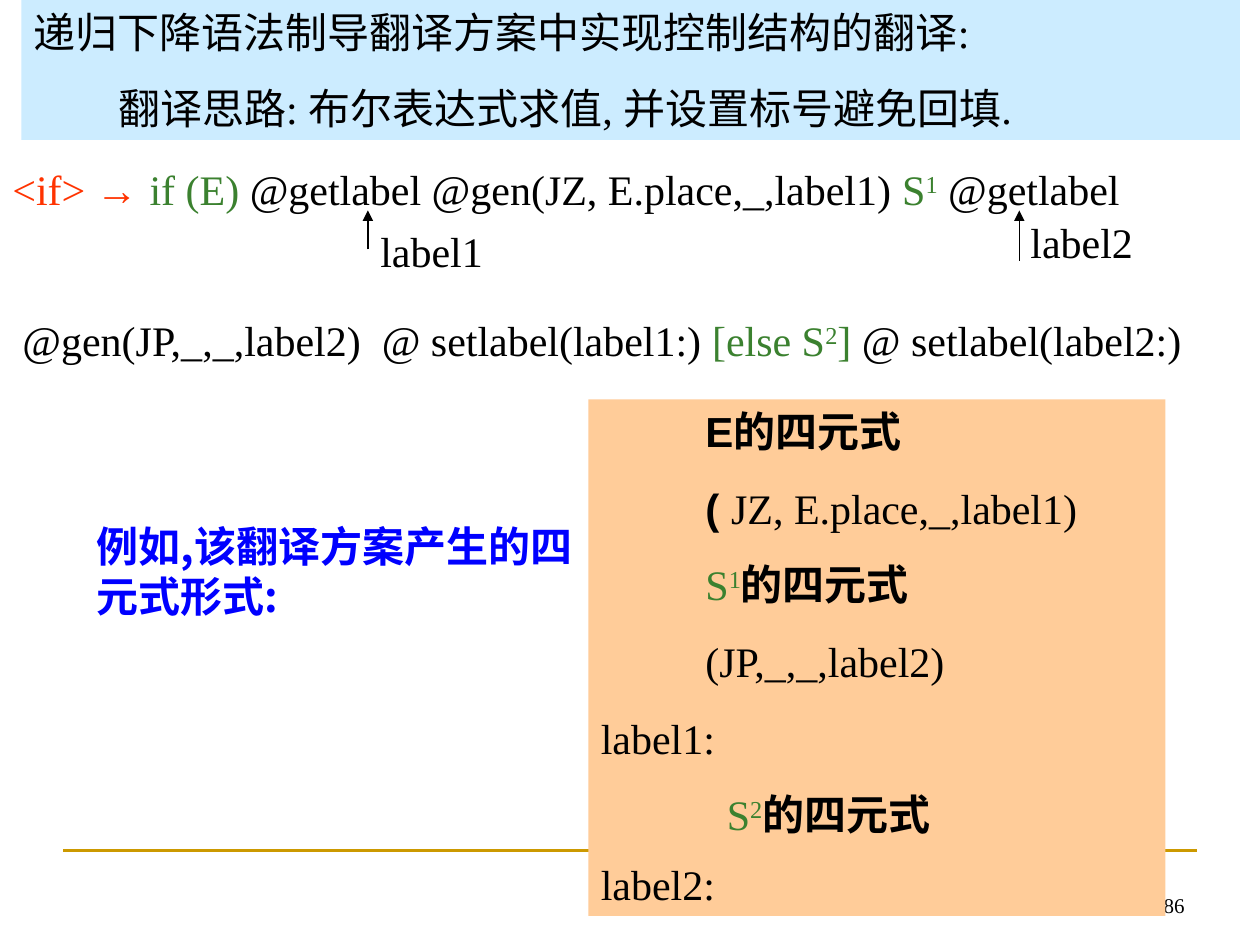
from dataclasses import dataclass
from typing import NamedTuple, Optional

from lxml.etree import SubElement
from pptx import Presentation
from pptx.dml.color import RGBColor
from pptx.enum.shapes import MSO_CONNECTOR, MSO_SHAPE
from pptx.enum.text import MSO_ANCHOR, MSO_AUTO_SIZE, PP_ALIGN
from pptx.oxml.ns import qn
from pptx.util import Inches, Pt

BLACK = RGBColor(0x00, 0x00, 0x00)
RED = RGBColor(0xFF, 0x33, 0x00)
GREEN = RGBColor(0x3B, 0x81, 0x2F)
BLUE = RGBColor(0x00, 0x00, 0xFF)
GOLD = RGBColor(0xCC, 0x99, 0x00)
SKY = RGBColor(0xCC, 0xEC, 0xFF)
PEACH = RGBColor(0xFF, 0xCC, 0x99)
SERIF = "Times New Roman"
SANS = "Arial"
HAN = "Noto Sans CJK SC"


class Span(NamedTuple):
    text: str
    color: RGBColor = BLACK
    font: str = SERIF
    bold: bool = False
    size: float = 24
    sup: bool = False


class Row(NamedTuple):
    spans: list[Span]
    indent: float = 0
    before: float = 15


@dataclass
class Box:
    left: float
    top: float
    width: float
    height: float
    rows: list[Row]
    fill: Optional[RGBColor] = None
    align: PP_ALIGN = PP_ALIGN.LEFT
    anchor: MSO_ANCHOR = MSO_ANCHOR.TOP


@dataclass
class Rule:
    start: tuple[float, float]
    end: tuple[float, float]
    color: RGBColor = BLACK
    width: float = 0.75
    arrow: bool = True


def draw_rule(slide, rule: Rule) -> None:
    ends = [Inches(v) for v in rule.start + rule.end]
    line = slide.shapes.add_connector(MSO_CONNECTOR.STRAIGHT, *ends)
    line.line.color.rgb = rule.color
    line.line.width = Pt(rule.width)
    props = line._element.spPr
    if rule.arrow:
        SubElement(props.find(qn("a:ln")), qn("a:tailEnd"), type="triangle")
    SubElement(props, qn("a:effectLst"))


def add_span(para, span: Span) -> None:
    run = para.add_run()
    run.text = span.text
    font = run.font
    font.name = span.font
    font.size = Pt(span.size)
    font.bold = span.bold
    font.color.rgb = span.color
    props = run._r.get_or_add_rPr()
    SubElement(props, qn("a:ea"), typeface=HAN)
    if span.sup:
        props.set("baseline", "30000")


def draw_box(slide, box: Box) -> None:
    area = [Inches(v) for v in (box.left, box.top, box.width, box.height)]
    if box.fill is None:
        shape = slide.shapes.add_textbox(*area)
    else:
        shape = slide.shapes.add_shape(MSO_SHAPE.RECTANGLE, *area)
        shape.shadow.inherit = False
        shape.fill.solid()
        shape.fill.fore_color.rgb = box.fill
        shape.line.fill.background()
    frame = shape.text_frame
    frame.word_wrap = True
    frame.auto_size = MSO_AUTO_SIZE.NONE
    frame.vertical_anchor = box.anchor
    for i, row in enumerate(box.rows):
        para = frame.add_paragraph() if i else frame.paragraphs[0]
        para.alignment = box.align
        para.space_before = Pt(row.before if i else 0)
        props = para._p.get_or_add_pPr()
        props.set("marL", str(Inches(row.indent)))
        props.set("indent", "0")
        for span in row.spans:
            add_span(para, span)


def label(name: str, left: float, top: float) -> Box:
    return Box(left, top, 1.17, 0.5, [Row([Span(name)])])


def state(mark: str) -> list[Span]:
    return [Span("S", GREEN), Span(mark, GREEN, sup=True),
            Span("的四元式", font=SANS, bold=True)]


PAGE = Box(7.17, 6.83, 2.33, 0.5, [Row([Span("86", size=12)])],
           align=PP_ALIGN.RIGHT, anchor=MSO_ANCHOR.BOTTOM)

TITLE = Box(0.17, 0, 9.67, 1.11, [
    Row([Span("递归下降语法制导翻译方案中实现控制结构的翻译:")]),
    Row([Span("翻译思路: 布尔表达式求值, 并设置标号避免回填.")], 0.67),
], SKY)

SCHEME = Box(0, 1.25, 10, 2.12, [
    Row([
        Span("<if> ", RED),
        Span("→ ", RED, SANS),
        Span("if (E)", GREEN),
        Span(" @getlabel @gen(JZ, E.place,_,label1)"),
        Span(" S", GREEN),
        Span("1", GREEN, sup=True),
        Span(" @getlabel"),
    ]),
    Row([
        Span("@gen(JP,_,_,label2)  @ setlabel(label1:) "),
        Span("[else S", GREEN),
        Span("2", GREEN, sup=True),
        Span("]", GREEN),
        Span(" @ setlabel(label2:)"),
    ], 0.08, 57.6),
])

CODE = Box(4.67, 3.17, 4.58, 4.1, [
    Row([Span("E的四元式", font=SANS, bold=True)], 0.83),
    Row([Span("( ", font=SANS, bold=True),
         Span("JZ, E.place,_,label1)")], 0.83),
    Row(state("1"), 0.83),
    Row([Span("(JP,_,_,label2)")], 0.83),
    Row([Span("label1:")]),
    Row(state("2"), 1),
    Row([Span("label2:")], before=11.2),
], PEACH)

NOTE = Box(0.67, 4.08, 4, 0.9, [
    Row([Span("例如,该翻译方案产生的四元式形式:", BLUE, HAN, True)]),
])

ITEMS = [
    Rule((0.5, 6.75), (9.5, 6.75), GOLD, 1.5, False),
    PAGE,
    TITLE,
    SCHEME,
    Rule((2.92, 1.98), (2.92, 1.67)),
    label("label1", 2.92, 1.74),
    label("label2", 8.08, 1.67),
    Rule((8.09, 2.07), (8.09, 1.67)),
    CODE,
    NOTE,
]


def main() -> None:
    deck = Presentation()
    deck.slide_width = Inches(10)
    deck.slide_height = Inches(7.5)
    slide = deck.slides.add_slide(deck.slide_layouts[6])
    for item in ITEMS:
        if isinstance(item, Rule):
            draw_rule(slide, item)
        else:
            draw_box(slide, item)
    deck.save("out.pptx")


if __name__ == "__main__":
    main()
